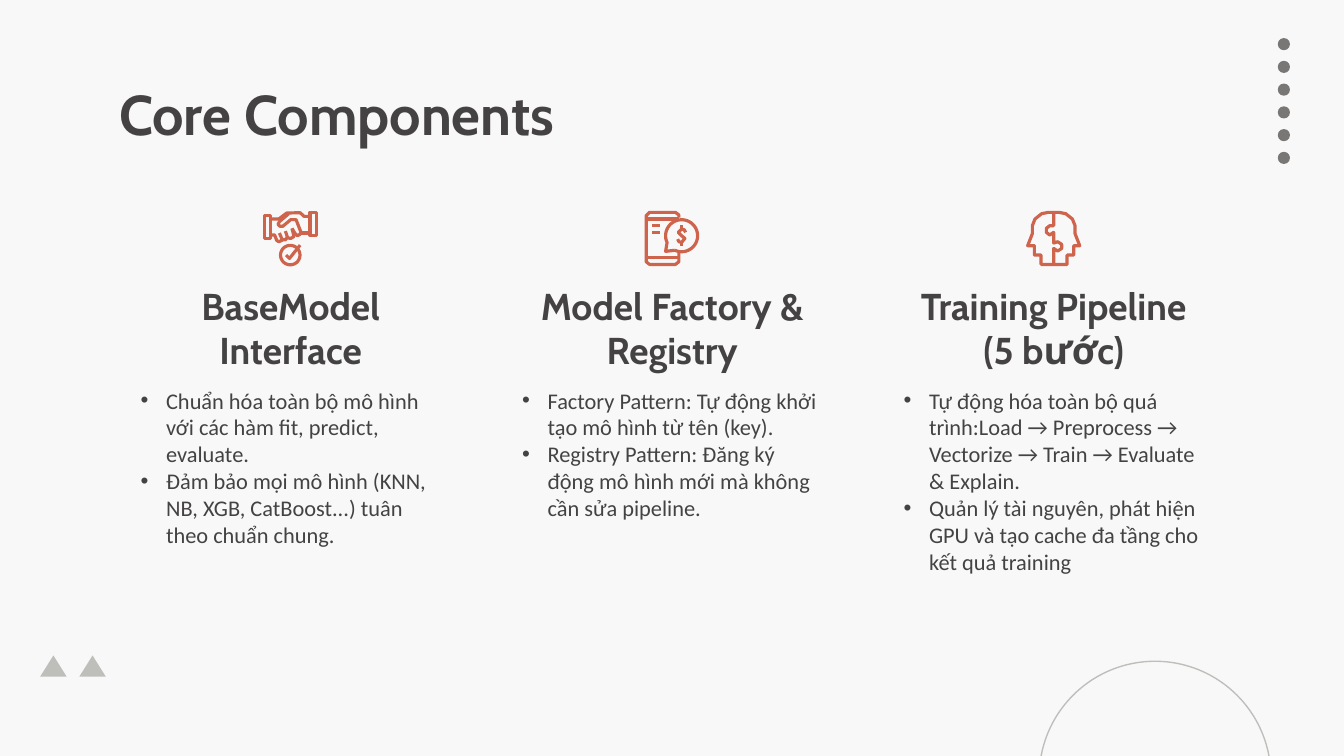
from math import cos, radians, sin

from lxml.etree import SubElement
from pptx import Presentation
from pptx.dml.color import RGBColor
from pptx.enum.shapes import MSO_SHAPE as Shape
from pptx.enum.text import MSO_ANCHOR as Anchor, PP_ALIGN as Align
from pptx.oxml.ns import qn
from pptx.util import Cm, Pt

PAPER = RGBColor(0xF8, 0xF8, 0xF8)
INK = RGBColor(0x44, 0x42, 0x42)
ACCENT = RGBColor(0xCE, 0x64, 0x4C)
DOT_GREY = RGBColor(0x79, 0x77, 0x76)
PALE_GREY = RGBColor(0xBE, 0xBE, 0xBB)

TITLE = {"name": "Cabin", "size": Pt(30), "bold": True}
HEADING = {"name": "Cabin", "size": Pt(20), "bold": True}
BODY = {"name": "Calibri", "size": Pt(12), "bold": False}

ICON_GRID = 42


def arc(cx, cy, radius, start, end, steps=40):
    angles = [radians(start + (end - start) * i / steps) for i in range(steps + 1)]
    return [(cx + radius * cos(a), cy + radius * sin(a)) for a in angles]


def rectangle(left, top, right, bottom):
    return [(left, top), (right, top), (right, bottom), (left, bottom), (left, top)]


HANDSHAKE = [
    rectangle(1.5, 3.5, 5.8, 20.5),
    rectangle(35.5, 1, 40.5, 18),
    [(6, 6), (12, 6), (18, 1.5), (28, 1.2), (31, 4), (35.5, 4)],
    [(19.5, 2), (12.5, 8), (11.5, 10), (13, 11.5), (15, 11.5), (21, 6.5), (25, 6.5),
     (28.5, 15.5), (28, 17.5), (26, 18.5), (24, 16.5), (22, 13)],
    [(6, 18), (9, 18), (10.5, 22), (12, 23), (14.5, 22), (14, 20), (12.5, 16.5)],
    [(14.5, 21.5), (17, 21.5), (18.5, 19.5), (17, 15)],
    [(18.5, 20), (21, 20.5), (23.5, 19), (22, 13)],
    [(29, 16.5), (35.5, 16.5)],
    arc(20.7, 33, 7.3, 0, 360),
    [(17.5, 33), (20, 35.5), (28, 25.5)],
]
PHONE_CHAT = [
    [(26, 5), (26, 3), (23.5, 1), (4, 1), (1.5, 3.5), (1.5, 38), (4, 40),
     (23.5, 40), (26, 38), (26, 31)],
    [(1.5, 6), (26, 6)],
    [(1.5, 35), (26, 35)],
    [(6, 11), (11.5, 11)],
    [(6, 16), (11.5, 16)],
    arc(28, 18.5, 12, 115, -205) + [(16, 30.2), (22.9, 29.4)],
    [(31, 16), (30, 14), (28, 13.5), (25.5, 16), (28, 18.5), (30.5, 20.5),
     (28, 23.5), (26, 23), (25, 21)],
    [(28, 10.5), (28, 13.5)],
    [(28, 23.5), (28, 26)],
]
PUZZLE_HEADS = [
    [(17, 1), (12, 2), (7, 6), (5, 11), (5, 17), (1.5, 26), (6.5, 26), (6.5, 33),
     (11.5, 33), (11.5, 40), (31, 40), (31, 33), (36, 33), (36, 26), (40.5, 26),
     (37, 17), (37, 11), (35, 6), (30, 2), (25, 1), (17, 1)],
    [(21, 1), (21, 11), (18, 11), (15.5, 13), (15.5, 16), (18, 18), (21, 16),
     (21, 24), (24, 23), (27, 25), (27, 28), (24, 30), (21, 28), (21, 40)],
]

COMPONENTS = [
    ("BaseModel Interface", HANDSHAKE, [
        "Chuẩn hóa toàn bộ mô hình với các hàm fit, predict, evaluate.",
        "Đảm bảo mọi mô hình (KNN, NB, XGB, CatBoost...) tuân theo chuẩn chung.",
    ]),
    ("Model Factory & Registry", PHONE_CHAT, [
        "Factory Pattern: Tự động khởi tạo mô hình từ tên (key).",
        "Registry Pattern: Đăng ký động mô hình mới mà không cần sửa pipeline.",
    ]),
    ("Training Pipeline (5 bước)", PUZZLE_HEADS, [
        "Tự động hóa toàn bộ quá trình:Load → Preprocess → Vectorize → Train → "
        "Evaluate & Explain.",
        "Quản lý tài nguyên, phát hiện GPU và tạo cache đa tầng cho kết quả training",
    ]),
]


def add_bullet(paragraph):
    props = paragraph._p.get_or_add_pPr()
    props.set("marL", str(Cm(0.48)))
    props.set("indent", str(-Cm(0.48)))
    color = SubElement(props, qn("a:buClr"))
    SubElement(color, qn("a:srgbClr"), val=str(INK))
    SubElement(props, qn("a:buFont"), typeface="Arial")
    SubElement(props, qn("a:buChar"), char="•")


def add_text(slide, box, lines, style, align=Align.LEFT, anchor=Anchor.TOP, bullets=False):
    frame = slide.shapes.add_textbox(*box).text_frame
    settings = {"word_wrap": True, "vertical_anchor": anchor}
    settings.update({f"margin_{side}": Cm(0.25) for side in ("left", "top", "right", "bottom")})
    for key, value in settings.items():
        setattr(frame, key, value)
    for index, line in enumerate(lines):
        paragraph = frame.add_paragraph() if index else frame.paragraphs[0]
        if bullets:
            add_bullet(paragraph)
        paragraph.alignment = align
        run = paragraph.add_run()
        run.text = line
        for key, value in style.items():
            setattr(run.font, key, value)
        run.font.color.rgb = INK


def add_solid(slide, preset, box, color):
    solid = slide.shapes.add_shape(preset, *box)
    solid.shadow.inherit = False
    solid.fill.solid()
    solid.fill.fore_color.rgb = color
    solid.line.fill.background()


def add_icon(slide, left, top, size, strokes):
    unit = size / ICON_GRID
    for stroke in strokes:
        points = [(left + x * unit, top + y * unit) for x, y in stroke]
        builder = slide.shapes.build_freeform(*points[0])
        builder.add_line_segments(points[1:], close=stroke[0] == stroke[-1])
        outline = builder.convert_to_shape()
        outline.shadow.inherit = False
        outline.fill.background()
        outline.line.color.rgb = ACCENT
        outline.line.width = Pt(1.7)


def add_component(slide, left, top, width, heading, strokes, points):
    icon_size = Cm(1.06)
    add_icon(slide, left + (width - icon_size) / 2, top, icon_size, strokes)
    add_text(slide, (left, top + Cm(1.34), width, Cm(1.96)), [heading], HEADING,
             align=Align.CENTER, anchor=Anchor.BOTTOM)
    add_text(slide, (left, top + Cm(3.07), width, Cm(4.88)), points, BODY, bullets=True)


def add_dots(slide, left, top, size, pitch, count):
    for index in range(count):
        add_solid(slide, Shape.OVAL, (left, top + index * pitch, size, size), DOT_GREY)


def add_triangles(slide, left, top, width, height, pitch, count):
    for index in range(count):
        add_solid(slide, Shape.ISOSCELES_TRIANGLE,
                  (left + index * pitch, top, width, height), PALE_GREY)


def add_corner_ring(slide, left, top, size):
    ring = slide.shapes.add_shape(Shape.OVAL, left, top, size, size)
    ring.shadow.inherit = False
    ring.fill.background()
    ring.line.color.rgb = PALE_GREY
    ring.line.width = Pt(0.75)


def main():
    deck = Presentation()
    deck.slide_width, deck.slide_height = Cm(25.4), Cm(14.29)
    slide = deck.slides.add_slide(deck.slide_layouts[6])
    slide.background.fill.solid()
    slide.background.fill.fore_color.rgb = PAPER

    add_corner_ring(slide, Cm(19.64), Cm(12.5), Cm(4.38))
    add_dots(slide, Cm(24.15), Cm(0.72), Cm(0.23), Cm(0.43), 6)
    add_triangles(slide, Cm(0.76), Cm(12.39), Cm(0.5), Cm(0.4), Cm(0.74), 2)
    add_text(slide, (Cm(2), Cm(1.25), Cm(21.4), Cm(1.6)), ["Core Components"], TITLE)
    for index, (heading, strokes, points) in enumerate(COMPONENTS):
        add_component(slide, Cm(2.41) + index * Cm(7.21), Cm(3.99), Cm(6.17),
                      heading, strokes, points)
    deck.save("out.pptx")


if __name__ == "__main__":
    main()
